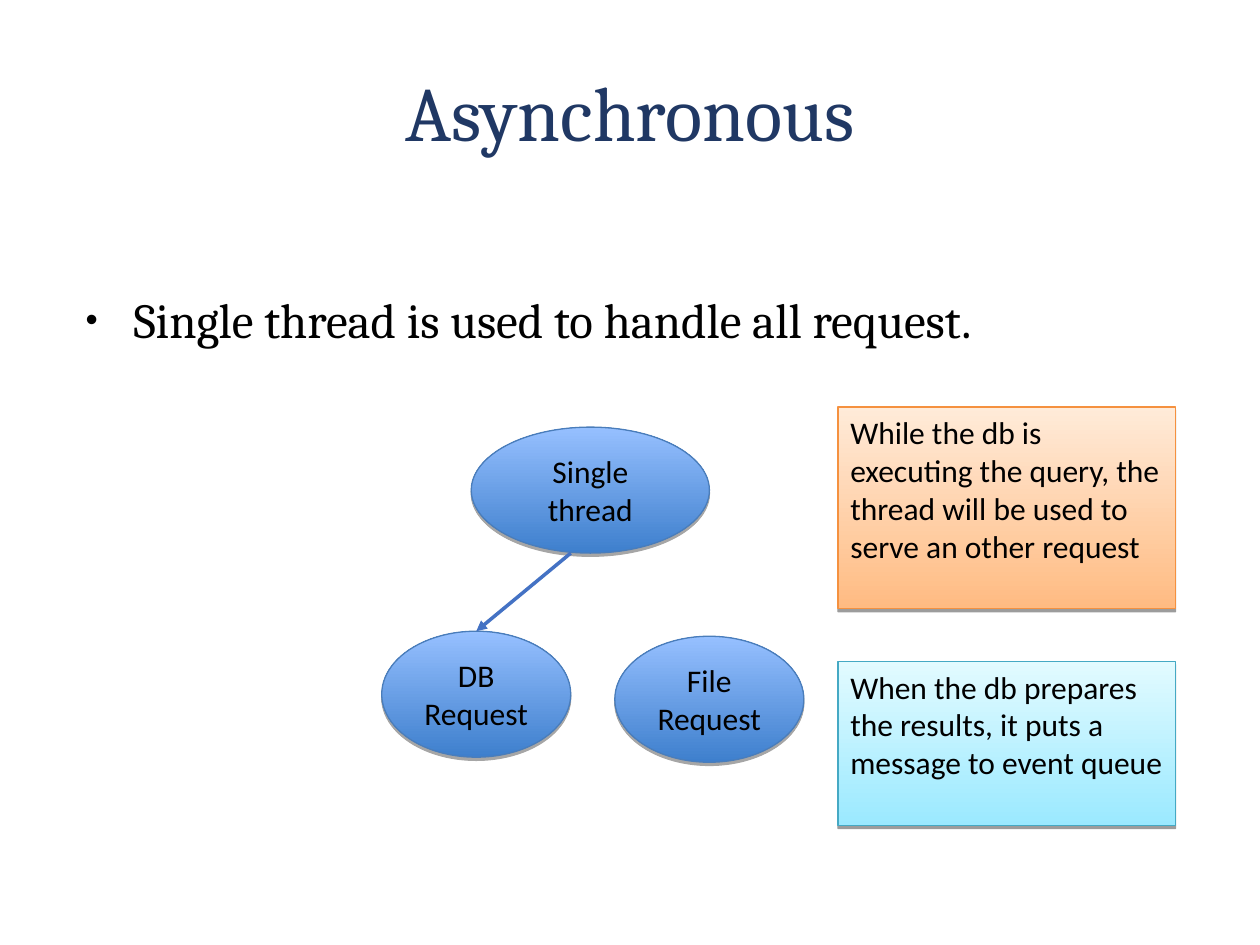
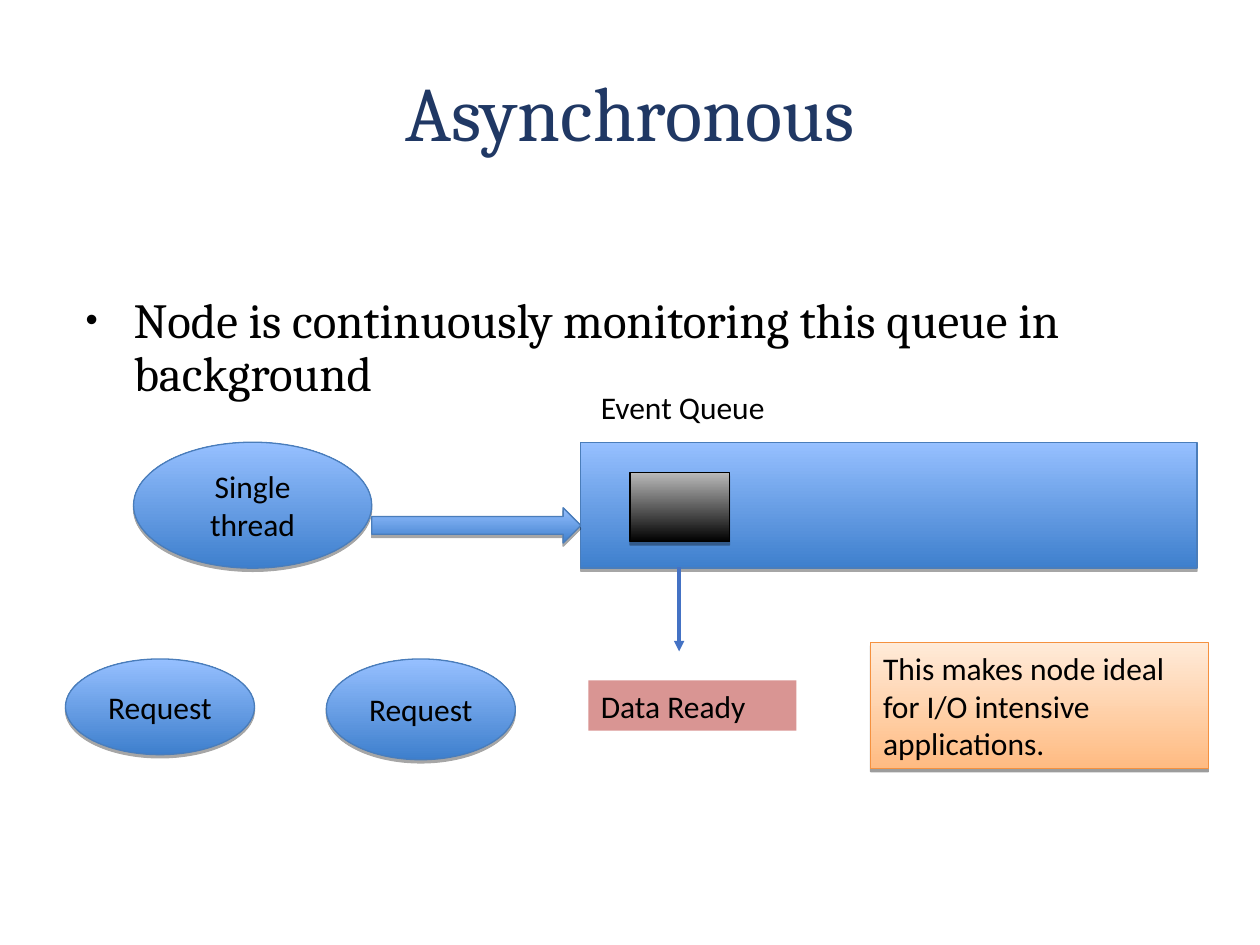
from dataclasses import dataclass

from lxml import etree
from pptx import Presentation
from pptx.dml.color import RGBColor
from pptx.enum.shapes import MSO_CONNECTOR, MSO_SHAPE
from pptx.enum.text import MSO_ANCHOR, MSO_AUTO_SIZE, PP_ALIGN
from pptx.oxml import parse_xml
from pptx.oxml.ns import nsdecls, qn
from pptx.util import Inches, Pt

ELLIPSE, RECTANGLE, RIGHT_ARROW = MSO_SHAPE.OVAL, MSO_SHAPE.RECTANGLE, MSO_SHAPE.RIGHT_ARROW
STRAIGHT = MSO_CONNECTOR.STRAIGHT
TOP, MIDDLE = MSO_ANCHOR.TOP, MSO_ANCHOR.MIDDLE
LEFT, CENTER = PP_ALIGN.LEFT, PP_ALIGN.CENTER
NO_AUTOFIT = MSO_AUTO_SIZE.NONE


@dataclass(frozen=True)
class Theme:
    heading_font: str = "Cambria"
    label_font: str = "Calibri"
    title_size: int = 44
    body_size: int = 28
    label_size: int = 18
    title_color: str = "203864"
    text_color: str = "000000"
    arrow_color: str = "4472C4"
    # Block styles: bottom colour, top colour, outline, shadow opacity in percent
    blue: tuple = ("3E7FCD", "96C0FF", "4A7DBA", 35)
    black: tuple = ("000000", "BABABA", "000000", 35)
    orange: tuple = ("FFBB82", "FFEBD9", "F5913F", 38)
    cyan: tuple = ("9BE9FF", "E2FBFF", "45A9C4", 38)
    # Flat style: one colour, no outline or shadow
    rose: tuple = ("D99593",)


THEME = Theme()


def add_block(slide, kind, position, style, text=""):
    """Add a preset shape; ellipses centre their text, the rest start top left."""
    shape = slide.shapes.add_shape(kind, *map(Inches, position))
    shape.shadow.inherit = False
    if len(style) == 1:
        shape.fill.solid()
        shape.fill.fore_color.rgb = RGBColor.from_string(style[0])
        shape.line.fill.background()
    else:
        bottom, top, outline, opacity = style
        shape.fill.gradient()
        shape.fill.gradient_angle = 90
        for stop, color in zip(shape.fill.gradient_stops, (bottom, top)):
            stop.color.rgb = RGBColor.from_string(color)
        shape.line.color.rgb = RGBColor.from_string(outline)
        shape.line.width = Pt(0.75)
        effects = shape._element.spPr.find(qn("a:effectLst"))
        effects.append(parse_xml(
            f'<a:outerShdw {nsdecls("a")} blurRad="0" dist="{Pt(1.8)}" dir="5400000" rotWithShape="0">'
            f'<a:srgbClr val="000000"><a:alpha val="{opacity * 1000}"/></a:srgbClr></a:outerShdw>'))
    if text:
        frame = shape.text_frame
        frame.word_wrap = True
        frame.vertical_anchor = MIDDLE if kind == ELLIPSE else TOP
        paragraph = frame.paragraphs[0]
        paragraph.text = text
        paragraph.alignment = CENTER if kind == ELLIPSE else LEFT
        paragraph.font.name = THEME.label_font
        paragraph.font.size = Pt(THEME.label_size)
        paragraph.font.color.rgb = RGBColor.from_string(THEME.text_color)
    return shape


def add_arrow(slide, start, end):
    arrow = slide.shapes.add_connector(STRAIGHT, *map(Inches, start + end))
    arrow.line.color.rgb = RGBColor.from_string(THEME.arrow_color)
    arrow.line.width = Pt(2)
    etree.SubElement(arrow.line._get_or_add_ln(), qn("a:tailEnd"), type="triangle")
    etree.SubElement(arrow._element.spPr, qn("a:effectLst"))
    return arrow


presentation = Presentation()
presentation.slide_width, presentation.slide_height = Inches(10), Inches(7.5)

# Title and bullet of both slides
slides = []
for bullet_text in ("Single thread is used to handle all request.",
                    "Node is continuously monitoring this queue in background"):
    slide = presentation.slides.add_slide(presentation.slide_layouts[1])
    slides.append(slide)
    title, body = slide.shapes.title, slide.placeholders[1]
    for placeholder, position, text, size, color, anchor, alignment in (
        (title, (0.5, 0.3, 9, 1.25), "Asynchronous",
         THEME.title_size, THEME.title_color, MIDDLE, CENTER),
        (body, (0.5, 1.75, 9.22, 4.95), bullet_text,
         THEME.body_size, THEME.text_color, TOP, LEFT),
    ):
        placeholder.left, placeholder.top, placeholder.width, placeholder.height = map(Inches, position)
        frame = placeholder.text_frame
        frame.auto_size = NO_AUTOFIT
        frame.vertical_anchor = anchor
        paragraph = frame.paragraphs[0]
        paragraph.text = text
        paragraph.alignment = alignment
        paragraph.line_spacing = 0.9
        paragraph.space_before = Pt(0)
        paragraph.font.name = THEME.heading_font
        paragraph.font.size = Pt(size)
        paragraph.font.color.rgb = RGBColor.from_string(color)

    body.text_frame.margin_top = Inches(0.6)
    properties = body.text_frame.paragraphs[0]._p.get_or_add_pPr()
    properties.set("marL", str(Inches(0.46)))
    properties.set("indent", str(Inches(-0.38)))
    bullet_color = etree.SubElement(properties, qn("a:buClr"))
    etree.SubElement(bullet_color, qn("a:srgbClr"), val=THEME.text_color)
    etree.SubElement(properties, qn("a:buSzPct"), val="71000")
    etree.SubElement(properties, qn("a:buChar"), char="•")
    # Paragraph defaults follow the bullet settings in the schema
    for defaults in properties.findall(qn("a:defRPr")):
        properties.append(defaults)

thread_slide, queue_slide = slides

# Slide 1: one thread serves the requests
database_request = add_block(thread_slide, ELLIPSE, (3.03, 5.01, 1.5, 1), THEME.blue, "DB Request")
add_block(thread_slide, RECTANGLE, (6.65, 3.23, 2.68, 1.6), THEME.orange,
          "While the db is executing the query, the thread will be used to serve an other request")
add_block(thread_slide, ELLIPSE, (4.88, 5.05, 1.5, 1), THEME.blue, "File Request")
add_block(thread_slide, ELLIPSE, (3.74, 3.39, 1.89, 1), THEME.blue, "Single thread")
thread_arrow = add_arrow(thread_slide, (4.53, 4.39), (3.78, 5.01))
thread_arrow.end_connect(database_request, 0)
add_block(thread_slide, RECTANGLE, (6.65, 5.25, 2.68, 1.3), THEME.cyan,
          "When the db prepares the results, it puts a message to event queue")

# Slide 2: the thread watches the event queue
add_block(queue_slide, ELLIPSE, (1.06, 3.51, 1.89, 1), THEME.blue, "Single thread")
add_block(queue_slide, RECTANGLE, (4.61, 3.51, 4.89, 1), THEME.blue)
add_block(queue_slide, RECTANGLE, (5, 3.75, 0.79, 0.55), THEME.black)
add_arrow(queue_slide, (5.39, 4.5), (5.39, 5.17))
add_block(queue_slide, RECTANGLE, (4.67, 5.4, 1.65, 0.4), THEME.rose, "Data Ready")
add_block(queue_slide, RIGHT_ARROW, (2.95, 4.03, 1.66, 0.28), THEME.blue)
for left, height in ((2.59, 0.8), (0.52, 0.76)):
    add_block(queue_slide, ELLIPSE, (left, 5.23, 1.5, height), THEME.blue, "Request")
add_block(queue_slide, RECTANGLE, (6.91, 5.1, 2.68, 1), THEME.orange,
          "This makes node ideal for I/O intensive applications.")

# Caption above the queue
caption = queue_slide.shapes.add_textbox(*map(Inches, (4.67, 3.03, 2.24, 0.4)))
caption.text_frame.word_wrap = True
paragraph = caption.text_frame.paragraphs[0]
paragraph.text = "Event Queue"
paragraph.font.name = THEME.label_font
paragraph.font.size = Pt(THEME.label_size)
paragraph.font.color.rgb = RGBColor.from_string(THEME.text_color)

presentation.save("out.pptx")
